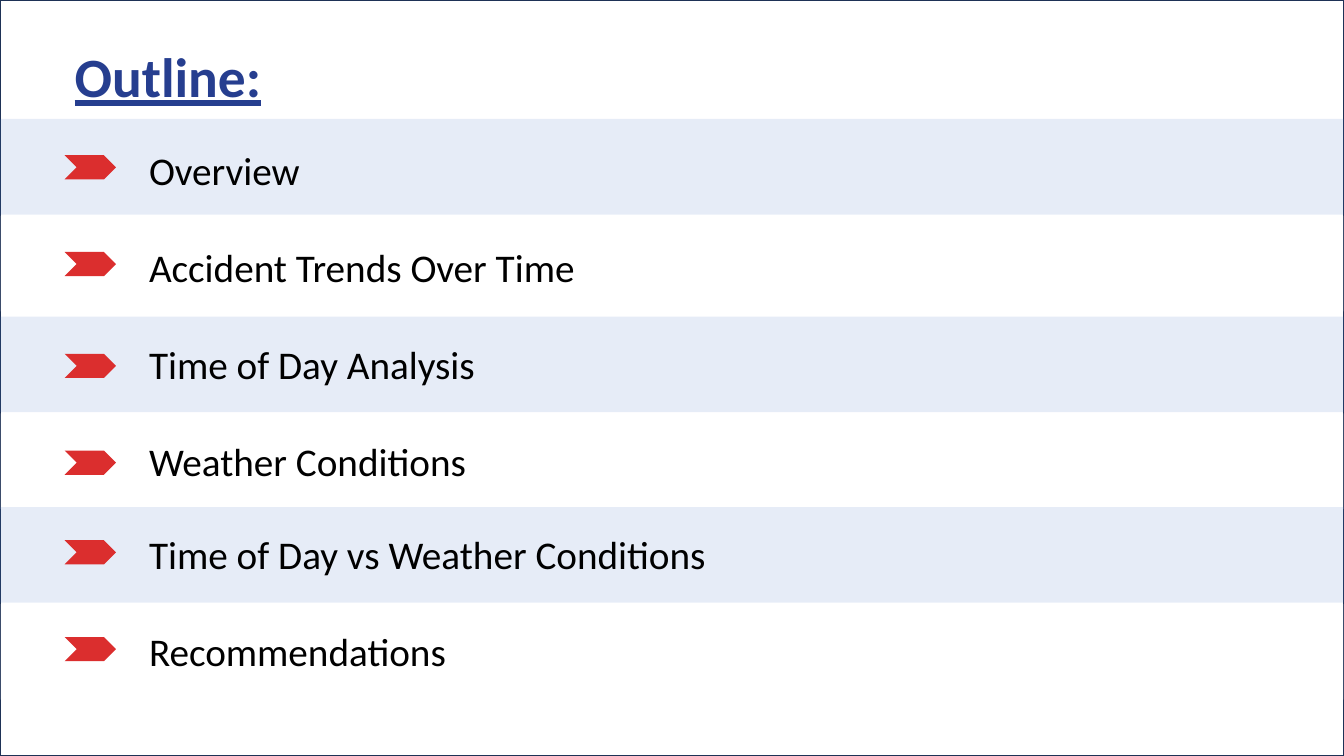
"""Builds an agenda slide with six banded rows, each led by a red chevron."""
from lxml.etree import SubElement
from pptx import Presentation
from pptx.dml.color import RGBColor
from pptx.enum.shapes import MSO_SHAPE
from pptx.enum.text import MSO_ANCHOR, MSO_AUTO_SIZE, PP_ALIGN
from pptx.oxml.ns import qn
from pptx.util import Inches, Pt

WIDTH, HEIGHT = 13.33, 7.5
MARGIN = 0.64
BAND_HEIGHT = 0.95
BAND_PITCH = 0.96
BAND_ALPHA = 13
FONT = "Calibri"
COLORS = {
    "paper": "FFFFFF",
    "border": "1E3256",
    "heading": "263E8F",
    "tint": "4472C4",
    "topic": "000000",
    "chevron": "DB2E2E",
}
TOPIC_PAIRS = [
    (1.18, 0.22, 0.36, ("Overview", 2.32), ("Accident Trends Over Time", 5.36)),
    (3.14, 0.19, 0.37, ("Time of Day Analysis", 3.53), ("Weather Conditions", 3.53)),
    (5.03, 0.18, 0.33, ("Time of Day vs Weather Conditions", 6.49), ("Recommendations", 3.53)),
]


def color(name):
    """Return the named palette colour."""
    return RGBColor.from_string(COLORS[name])


def add_filled(slide, preset, box, fill, alpha=None):
    """Add a borderless preset shape, optionally see-through, in a box of inches."""
    shape = slide.shapes.add_shape(preset, *map(Inches, box))
    shape.shadow.inherit = False
    shape.fill.solid()
    shape.fill.fore_color.rgb = color(fill)
    shape.line.fill.background()
    if alpha is not None:
        tone = shape.element.spPr.find(qn("a:solidFill"))[0]
        SubElement(tone, qn("a:alpha")).set("val", str(alpha * 1000))
    return shape


def style_text(paragraph, size, tone):
    """Set the font of a whole paragraph."""
    paragraph.font.name = FONT
    paragraph.font.size = Pt(size)
    paragraph.font.color.rgb = color(tone)


def add_frame(slide, box):
    """Lay the bordered page behind everything else."""
    frame = add_filled(slide, MSO_SHAPE.RECTANGLE, box, "paper")
    frame.line.color.rgb = color("border")
    frame.line.width = Pt(1)
    slide.shapes.title.element.addprevious(frame.element)


def add_heading(slide, box):
    """Place and format the title placeholder."""
    heading = slide.shapes.title
    heading.left, heading.top, heading.width, heading.height = map(Inches, box)
    frame = heading.text_frame
    frame.text = "Outline:"
    frame.auto_size = MSO_AUTO_SIZE.NONE
    frame.vertical_anchor = MSO_ANCHOR.MIDDLE
    line = frame.paragraphs[0]
    line.alignment = PP_ALIGN.LEFT
    line.line_spacing = 0.9
    style_text(line, 39.6, "heading")
    line.font.bold = line.font.underline = True


def add_topic_row(slide, box, tint, topic, topic_width, topic_drop, chevron_drop):
    """Draw one band with its chevron and topic, measured from the band's box."""
    left, top = box[:2]
    add_filled(slide, MSO_SHAPE.RECTANGLE, box, tint, BAND_ALPHA)
    chevron_box = (left + MARGIN, top + chevron_drop, 0.51, 0.24)
    add_filled(slide, MSO_SHAPE.CHEVRON, chevron_box, "chevron")
    topic_box = (left + 1.38, top + topic_drop, topic_width, 0.57)
    label = slide.shapes.add_textbox(*map(Inches, topic_box)).text_frame
    label.word_wrap = True
    label.auto_size = MSO_AUTO_SIZE.SHAPE_TO_FIT_TEXT
    label.text = topic
    style_text(label.paragraphs[0], 28, "topic")


def add_agenda(slide):
    """Stack the topics in pairs of one tinted and one white band."""
    for pair_top, topic_drop, chevron_drop, *topics in TOPIC_PAIRS:
        for row, (topic, topic_width) in enumerate(topics):
            box = (0, pair_top + row * BAND_PITCH, WIDTH, BAND_HEIGHT)
            tint = ("tint", "paper")[row]
            add_topic_row(slide, box, tint, topic, topic_width, topic_drop, chevron_drop)


def main():
    """Build and save the slide."""
    deck = Presentation()
    deck.slide_width, deck.slide_height = Inches(WIDTH), Inches(HEIGHT)
    slide = deck.slides.add_slide(deck.slide_layouts.get_by_name("Title Only"))
    add_frame(slide, (0, 0, WIDTH, HEIGHT))
    add_heading(slide, (MARGIN, 0.47, 2.29, 0.64))
    add_agenda(slide)
    deck.save("out.pptx")


if __name__ == "__main__":
    main()
